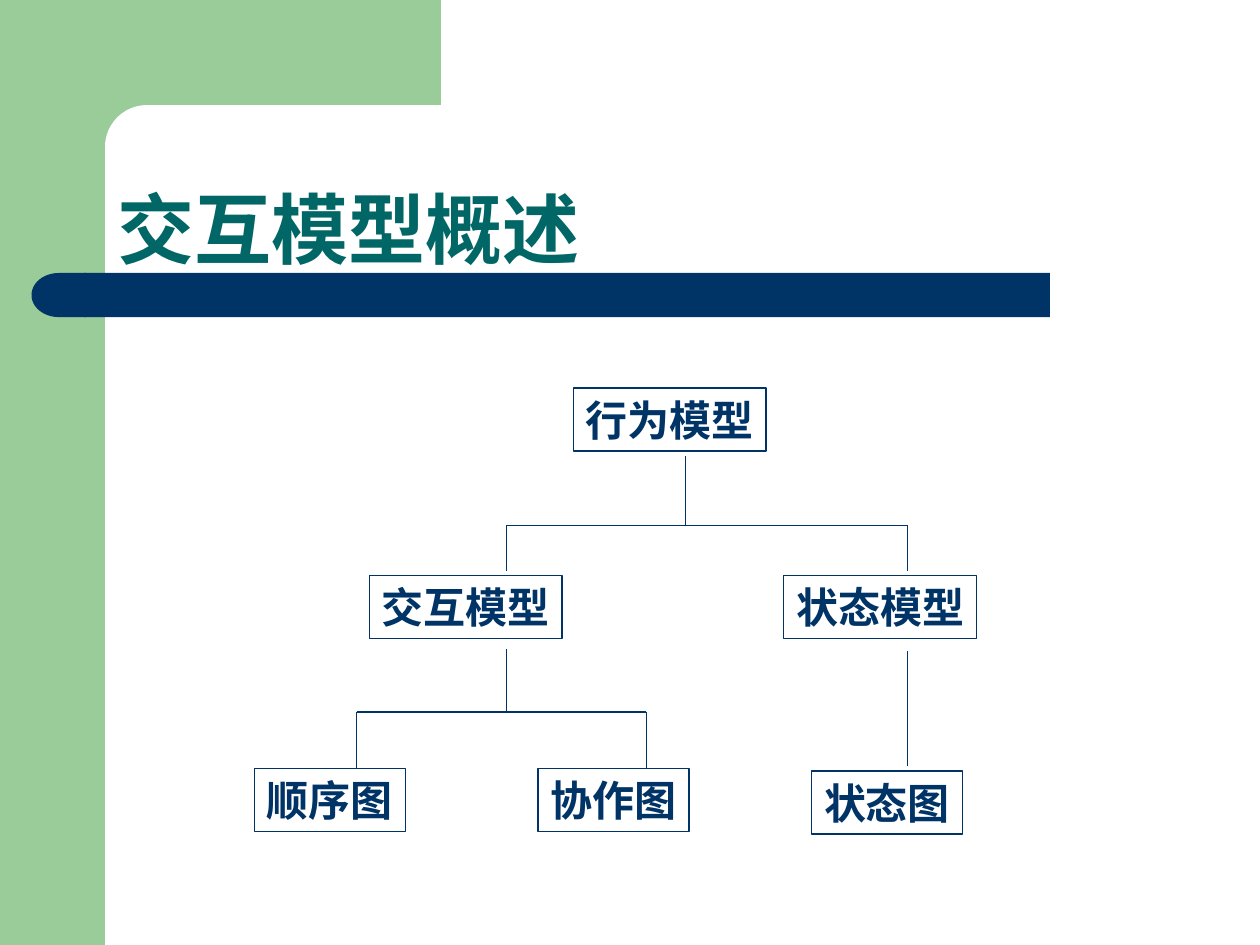
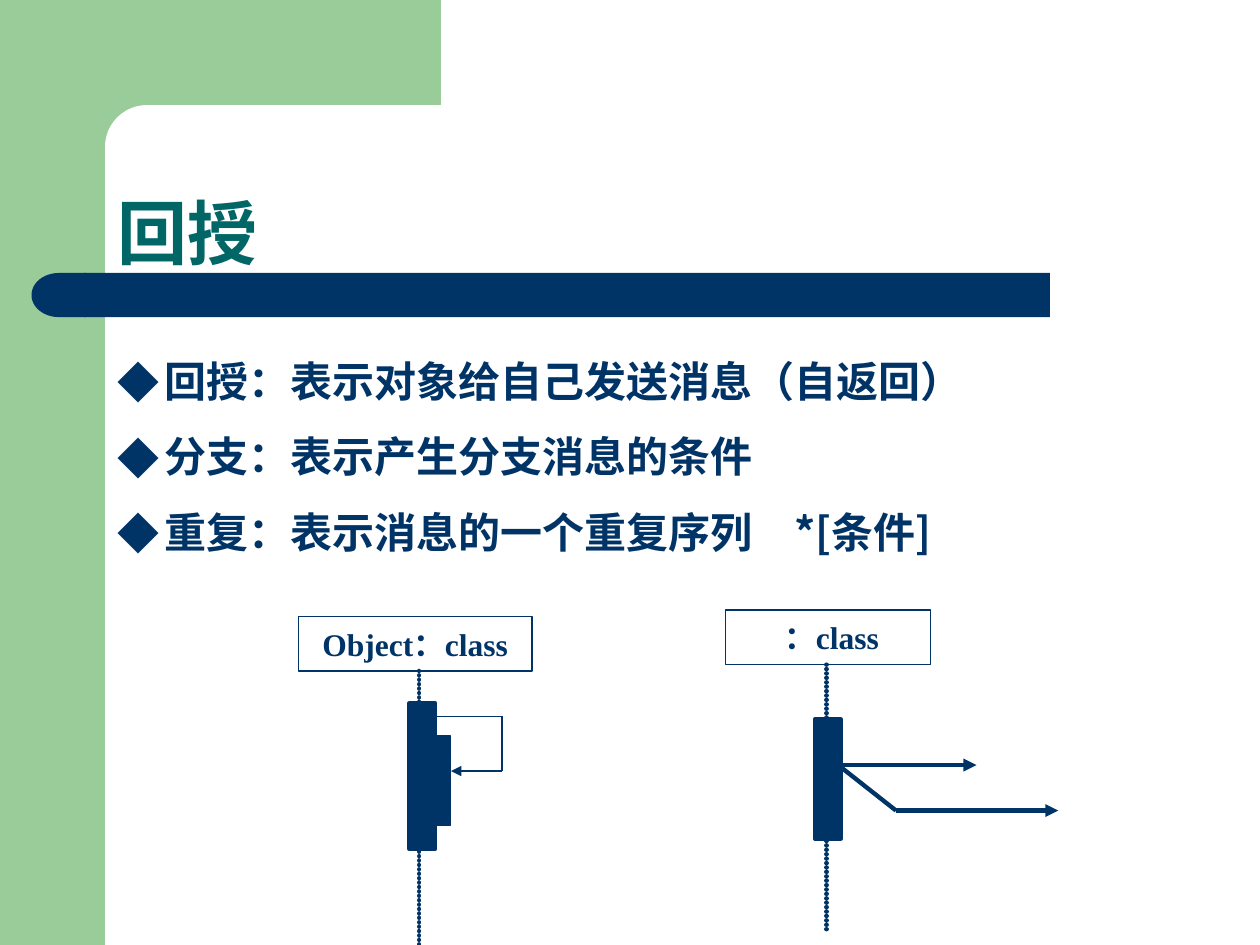
import dataclasses

import pptx
import pptx.dml.color
import pptx.enum.shapes
import pptx.enum.text
import pptx.oxml
import pptx.oxml.ns
import pptx.util
from lxml import etree

Pt = pptx.util.Pt
qn = pptx.oxml.ns.qn
Shape = pptx.enum.shapes.MSO_SHAPE
Anchor = pptx.enum.text.MSO_ANCHOR
Align = pptx.enum.text.PP_ALIGN


@dataclasses.dataclass(frozen=True)
class Theme:
    green: str = "99CC99"
    navy: str = "003366"
    teal: str = "006666"
    white: str = "FFFFFF"
    title_font: str = "Noto Sans CJK JP"
    body_font: str = "Noto Sans CJK SC"
    class_font: str = "Times New Roman"
    body_size: float = 24
    class_size: float = 18
    bullet_pitch: float = 43.2
    thin: float = 0.75
    thick: float = 2.5


THEME = Theme()

# Content: positions are left, top, width, height in points
TREE_TITLE = ("交互模型概述", 44)
TREE_BOXES = [
    ("行为模型", 327.6, 221.8, 110.2),
    ("交互模型", 211, 329, 110.2),
    ("状态模型", 447.8, 329, 110.2),
    ("顺序图", 145.4, 439.2, 86.4),
    ("协作图", 307.4, 439.2, 86.4),
    ("状态图", 463.7, 440.6, 86.4),
]
TREE_BOX_HEIGHT = 36
# stem x, stem top, bar y (None for a straight line), child xs, child bottom
TREE_BRANCHES = [
    (391.7, 260.6, 300.2, [289.4, 518.4], 326.2),
    (289.4, 370.8, 406.8, [203.8, 369.4], 439.2),
    (518.4, 372.2, None, [518.4], 437.8),
]

MESSAGE_TITLE = ("回授", 40)
MESSAGE_BULLETS = [
    "回授：表示对象给自己发送消息（自返回）",
    "分支：表示产生分支消息的条件",
    "重复：表示消息的一个重复序列　*[条件]",
]
LIFELINES = [
    {
        "label": "Object：class", "indent": 0,
        "box": (170.6, 352.2, 133.4, 31.2),
        "x": 239.6, "bottom": 540,
        "activations": [((234, 401.8, 14.6, 83.5), THEME.thick),
                        ((244.8, 420.5, 12.8, 51.1), THEME.thin)],
        "messages": [[(249, 409.4), (286.8, 409.4), (286.8, 440.6), (257.7, 440.6)]],
        "message_width": THEME.thin,
    },
    {
        "label": "：class", "indent": 4,
        "box": (414.8, 348.6, 116.9, 31.2),
        "x": 472.3, "bottom": 531.4,
        "activations": [((465.8, 411, 14.6, 68.4), THEME.thick)],
        "messages": [[(479, 437.2), (558, 437.2)],
                     [(479, 437.2), (512, 463.2), (604.8, 463.2)]],
        "message_width": THEME.thick,
    },
]


def rgb(value):
    return pptx.dml.color.RGBColor.from_string(value)


def add_block(slide, kind, box, fill=None, line=None, width=THEME.thin):
    shape = slide.shapes.add_shape(kind, *map(Pt, box))
    shape.shadow.inherit = False
    if fill:
        shape.fill.solid()
        shape.fill.fore_color.rgb = rgb(fill)
    else:
        shape.fill.background()
    if line:
        shape.line.color.rgb = rgb(line)
        shape.line.width = Pt(width)
    else:
        shape.line.fill.background()
    return shape


def style_paragraph(paragraph, size, color, latin, east_asian):
    font = paragraph.font
    font.size, font.bold, font.name = Pt(size), True, latin
    font.color.rgb = rgb(color)
    properties = paragraph._p.pPr.find(qn("a:defRPr"))
    etree.SubElement(properties, qn("a:ea"), typeface=east_asian)


def add_label_box(slide, box, text, size, latin, indent=0):
    shape = add_block(slide, Shape.RECTANGLE, box, line=THEME.navy)
    frame = shape.text_frame
    frame.margin_left, frame.margin_right = Pt(indent), 0
    frame.word_wrap = False
    frame.vertical_anchor = Anchor.MIDDLE
    paragraph = frame.paragraphs[0]
    paragraph.text = text
    paragraph.alignment = Align.CENTER
    style_paragraph(paragraph, size, THEME.navy, latin, THEME.body_font)


def add_line(slide, start, end, width=THEME.thin, arrow=False, dotted=False):
    line = slide.shapes.add_connector(
        pptx.enum.shapes.MSO_CONNECTOR.STRAIGHT, *map(Pt, start + end))
    line.line.color.rgb = rgb(THEME.navy)
    line.line.width = Pt(width)
    outline = line.line._get_or_add_ln()
    if dotted:
        outline.set("cap", "rnd")
        dashes = etree.SubElement(outline, qn("a:custDash"))
        etree.SubElement(dashes, qn("a:ds"), d="1000", sp="100000")
    if arrow:
        etree.SubElement(outline, qn("a:tailEnd"), type="triangle")
    etree.SubElement(line._element.spPr, qn("a:effectLst"))


def add_message(slide, points, width):
    """Draw a bent line whose last leg carries the arrowhead."""
    for start, end in zip(points, points[1:]):
        add_line(slide, start, end, width, arrow=end == points[-1])


def add_base_slide(presentation, title, size):
    slide = presentation.slides.add_slide(presentation.slide_layouts[6])
    for kind, box, fill in [
        (Shape.RECTANGLE, (0, 0, 60, 540), THEME.green),
        (Shape.RECTANGLE, (54, 0, 198, 84), THEME.green),
        (Shape.ROUNDED_RECTANGLE, (60, 60, 402, 48), THEME.white),
        (Shape.RECTANGLE, (48, 156, 552, 25.2), THEME.navy),
        (Shape.FLOWCHART_DELAY, (18, 156, 31, 25.2), THEME.navy),
    ]:
        shape = add_block(slide, kind, box, fill)
        if kind == Shape.ROUNDED_RECTANGLE:
            shape.adjustments[0] = 0.5
        elif kind == Shape.FLOWCHART_DELAY:
            shape.rotation = 180
    frame = slide.shapes.add_textbox(*map(Pt, (60, 111.6, 612, 45.4))).text_frame
    frame.word_wrap = True
    frame.vertical_anchor = Anchor.BOTTOM
    frame.margin_bottom = 0
    paragraph = frame.paragraphs[0]
    paragraph.text = title
    paragraph.line_spacing = 0.9
    style_paragraph(paragraph, size, THEME.teal, THEME.title_font, THEME.title_font)
    return slide


def add_bullets(slide, items):
    frame = slide.shapes.add_textbox(*map(Pt, (60, 185, 618.5, 136.8))).text_frame
    frame.word_wrap = True
    for index, item in enumerate(items):
        paragraph = frame.add_paragraph() if index else frame.paragraphs[0]
        paragraph.text = item
        paragraph.line_spacing = Pt(THEME.bullet_pitch)
        style_paragraph(paragraph, THEME.body_size, THEME.navy,
                        THEME.body_font, THEME.body_font)
        properties = paragraph._p.pPr
        properties.set("marL", str(Pt(27)))
        properties.set("indent", str(-Pt(27)))
        color = etree.Element(qn("a:buClr"))
        etree.SubElement(color, qn("a:srgbClr"), val=THEME.navy)
        font = etree.Element(qn("a:buFont"), typeface=THEME.body_font)
        mark = etree.Element(qn("a:buChar"), char="◆")
        for element in (color, font, mark):
            properties.find(qn("a:defRPr")).addprevious(element)


def add_branch(slide, stem_x, top, bar_y, child_xs, bottom):
    if bar_y is None:
        add_line(slide, (stem_x, top), (stem_x, bottom))
        return
    add_line(slide, (stem_x, top), (stem_x, bar_y))
    add_line(slide, (child_xs[0], bar_y), (child_xs[-1], bar_y))
    for x in child_xs:
        add_line(slide, (x, bar_y), (x, bottom))


def add_lifeline(slide, lifeline):
    box, x = lifeline["box"], lifeline["x"]
    add_label_box(slide, box, lifeline["label"], THEME.class_size,
                  THEME.class_font, lifeline["indent"])
    add_line(slide, (x, box[1] + box[3]), (x, lifeline["bottom"]),
             THEME.thick, dotted=True)
    for bar, width in lifeline["activations"]:
        add_block(slide, Shape.RECTANGLE, bar, THEME.navy, THEME.navy, width)
    for points in lifeline["messages"]:
        add_message(slide, points, lifeline["message_width"])


def main():
    presentation = pptx.Presentation()
    presentation.slide_width, presentation.slide_height = Pt(720), Pt(540)

    slide = add_base_slide(presentation, *TREE_TITLE)
    for text, left, top, width in TREE_BOXES:
        add_label_box(slide, (left, top, width, TREE_BOX_HEIGHT), text,
                      THEME.body_size, THEME.body_font)
    for branch in TREE_BRANCHES:
        add_branch(slide, *branch)

    slide = add_base_slide(presentation, *MESSAGE_TITLE)
    add_bullets(slide, MESSAGE_BULLETS)
    for lifeline in LIFELINES:
        add_lifeline(slide, lifeline)

    presentation.save("out.pptx")


if __name__ == "__main__":
    main()
